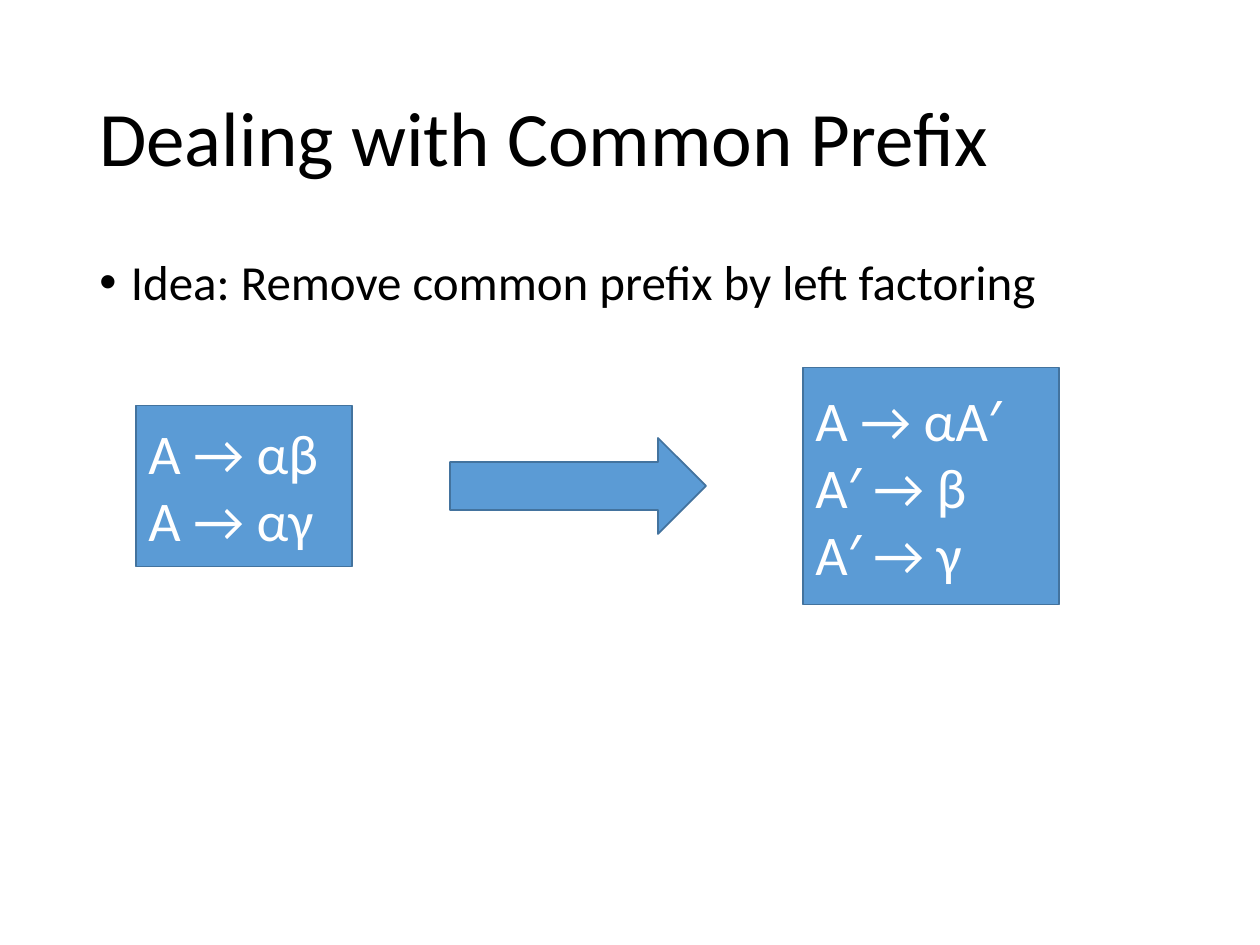
from lxml import etree
from pptx import Presentation
from pptx.dml.color import RGBColor
from pptx.enum.shapes import MSO_SHAPE
from pptx.enum.text import MSO_ANCHOR, PP_ALIGN
from pptx.oxml.ns import qn
from pptx.util import Pt

PX = 914400 // 126
FONT = "Calibri"
BLACK, WHITE, BLUE, EDGE = "000000", "FFFFFF", "5B9BD5", "43739E"

TITLE = "Dealing with Common Prefix"
IDEA = "Idea: Remove common prefix by left factoring"
MID = 486  # shared centre line of the diagram
# kind, left, width, height, lines of text
STEPS = [
    (MSO_SHAPE.RECTANGLE, 136, 216, 161, ["A → αβ", "A → αγ"]),
    (MSO_SHAPE.RIGHT_ARROW, 450, 256, 96, []),
    (MSO_SHAPE.RECTANGLE, 803, 256, 237, ["A → αA′", "A′ → β", "A′ → γ"]),
]


def color(code):
    return RGBColor.from_string(code)


def add_bullet(para, indent):
    props = para._p.get_or_add_pPr()
    props.set("marL", str(indent))
    props.set("indent", str(-indent))
    etree.SubElement(props, qn("a:buFont")).set("typeface", "Arial")
    etree.SubElement(props, qn("a:buChar")).set("char", "•")


def write(shape, lines, size, ink=BLACK, anchor=MSO_ANCHOR.MIDDLE,
          spacing=None, bullet=False):
    frame = shape.text_frame
    frame.word_wrap = True
    frame.vertical_anchor = anchor
    for i, line in enumerate(lines):
        para = frame.add_paragraph() if i else frame.paragraphs[0]
        para.alignment = PP_ALIGN.LEFT
        if spacing:
            para.line_spacing = spacing
        if bullet:
            add_bullet(para, 228600)
        run = para.add_run()
        run.text = line
        run.font.name = FONT
        run.font.size = Pt(size)
        run.font.color.rgb = color(ink)


def add_step(slide, kind, left, width, height, lines):
    top = MID - height / 2
    box = [round(v * PX) for v in (left, top, width, height)]
    shape = slide.shapes.add_shape(kind, *box)
    shape.shadow.inherit = False
    shape.fill.solid()
    shape.fill.fore_color.rgb = color(BLUE)
    shape.line.color.rgb = color(EDGE)
    shape.line.width = Pt(1)
    write(shape, lines, 32, ink=WHITE)


def add_box(slide, *box):
    return slide.shapes.add_textbox(*[v * PX for v in box])


def main():
    deck = Presentation()
    deck.slide_width, deck.slide_height = 1260 * PX, 945 * PX
    slide = deck.slides.add_slide(deck.slide_layouts[6])
    write(add_box(slide, 87, 50, 1086, 183), [TITLE], 44, spacing=0.9)
    write(add_box(slide, 87, 252, 1086, 600), [IDEA], 28,
          anchor=MSO_ANCHOR.TOP, spacing=0.9, bullet=True)
    for step in STEPS:
        add_step(slide, *step)
    deck.save("out.pptx")


if __name__ == "__main__":
    main()
